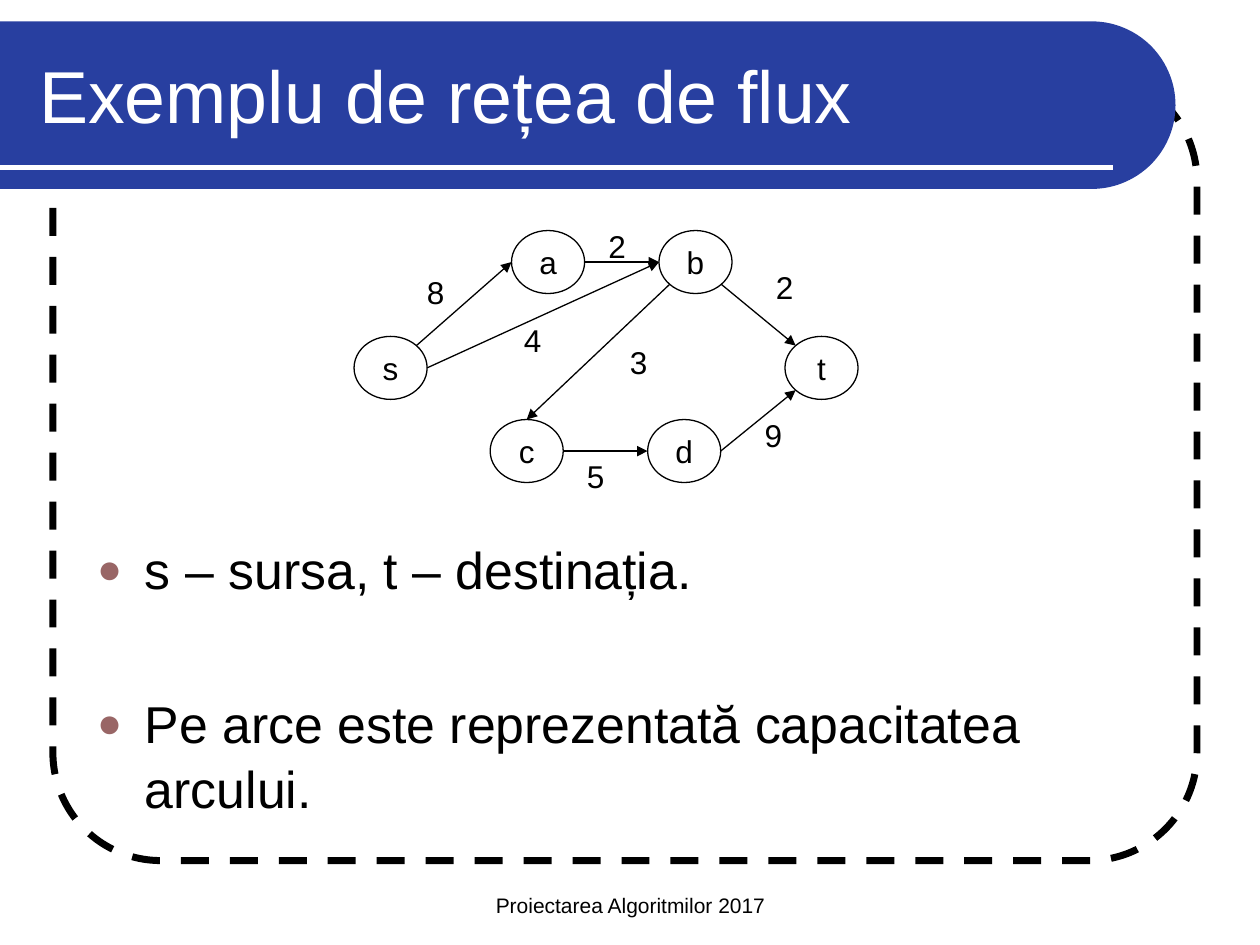
from math import cos, pi, radians, sin

from lxml import etree
from pptx import Presentation
from pptx.dml.color import RGBColor
from pptx.enum.dml import MSO_LINE
from pptx.enum.shapes import MSO_CONNECTOR, MSO_SHAPE
from pptx.enum.text import MSO_ANCHOR as Anchor, MSO_AUTO_SIZE as AutoSize, PP_ALIGN as Align
from pptx.oxml.ns import qn
from pptx.util import Inches, Pt

BLACK = RGBColor(0x00, 0x00, 0x00)
WHITE = RGBColor(0xFF, 0xFF, 0xFF)
BLUE = RGBColor(0x28, 0x3F, 0xA0)
ROSE = RGBColor(0x99, 0x66, 0x66)
FONT = "Arial"

NODE_WIDTH, NODE_HEIGHT = 0.58, 0.5
LABEL_WIDTH, LABEL_HEIGHT = 0.34, 0.4
RIGHT, UPPER_RIGHT, TOP, UPPER_LEFT = 0, 45, 90, 135
LEFT, LOWER_LEFT, LOWER_RIGHT = 180, 225, 315

NODES = {
    "s": (0, 0.84), "a": (1.25, 0), "b": (2.42, 0),
    "d": (2.33, 1.5), "t": (3.42, 0.84), "c": (1.08, 1.5),
}
EDGES = [
    ("s", UPPER_RIGHT, "a", LEFT, "8", (0.48, 0.29)),
    ("s", RIGHT, "b", LEFT, "4", (1.25, 0.67)),
    ("a", RIGHT, "b", LEFT, "2", (1.92, -0.08)),
    ("b", LOWER_LEFT, "c", TOP, "3", (2.09, 0.84)),
    ("b", LOWER_RIGHT, "t", UPPER_LEFT, "2", (3.25, 0.25)),
    ("c", RIGHT, "d", LEFT, "5", (1.75, 1.75)),
    ("d", RIGHT, "t", LOWER_LEFT, "9", (3.16, 1.42)),
]
BULLETS = ["s – sursa, t – destinația.", "Pe arce este reprezentată capacitatea arcului."]


def place(shape, left, top, width, height):
    shape.left, shape.top = Inches(left), Inches(top)
    shape.width, shape.height = Inches(width), Inches(height)


def bring_to_front(shape):
    shape.element.getparent().append(shape.element)


def format_text(para, size, color=BLACK, align=Align.LEFT):
    para.alignment = align
    for span in para.runs:
        span.font.name, span.font.size = FONT, Pt(size)
        span.font.color.rgb = color


def add_text(page, text, left, top, width, height, size, align=Align.LEFT, anchor=Anchor.TOP):
    box = page.shapes.add_textbox(Inches(left), Inches(top), Inches(width), Inches(height))
    frame = box.text_frame
    frame.text = text
    frame.word_wrap = True
    frame.vertical_anchor = anchor
    format_text(frame.paragraphs[0], size, align=align)


def add_line(page, start, end, color, weight, arrow=False):
    line = page.shapes.add_connector(
        MSO_CONNECTOR.STRAIGHT, *(Inches(value) for value in (*start, *end)))
    line.line.color.rgb = color
    line.line.width = Pt(weight)
    properties = line.element.spPr
    if arrow:
        etree.SubElement(line.line._get_or_add_ln(), qn("a:tailEnd"), type="triangle")
    etree.SubElement(properties, qn("a:effectLst"))


def add_frame(page, left, top, width, height):
    frame = page.shapes.add_shape(
        MSO_SHAPE.ROUNDED_RECTANGLE, Inches(left), Inches(top), Inches(width), Inches(height))
    frame.adjustments[0] = 0.137
    frame.shadow.inherit = False
    frame.fill.background()
    frame.line.color.rgb = BLACK
    frame.line.width = Pt(4)
    frame.line.dash_style = MSO_LINE.DASH


def add_banner(page, left, top, width, height):
    radius, steps = height / 2, 60
    center_x, center_y = left + width - radius, top + radius
    angles = [pi * step / steps - pi / 2 for step in range(steps + 1)]
    arc = [(Inches(center_x + radius * cos(angle)), Inches(center_y + radius * sin(angle)))
           for angle in angles]
    builder = page.shapes.build_freeform(Inches(left), Inches(top))
    builder.add_line_segments(arc + [(Inches(left), Inches(top + height))], close=True)
    banner = builder.convert_to_shape()
    banner.shadow.inherit = False
    banner.fill.solid()
    banner.fill.fore_color.rgb = BLUE
    banner.line.fill.background()
    rule_y = top + height - 0.17
    add_line(page, (left, rule_y), (left + width - 0.5, rule_y), WHITE, 3)


def fill_title(page, left, top, width, height):
    title = page.shapes.title
    place(title, left, top, width, height)
    frame = title.text_frame
    frame.text = "Exemplu de rețea de flux"
    frame.auto_size = AutoSize.NONE
    frame.vertical_anchor = Anchor.MIDDLE
    format_text(frame.paragraphs[0], 42, WHITE)
    bring_to_front(title)


def rim_point(node, angle, left, top):
    x, y = NODES[node]
    return (left + x + NODE_WIDTH / 2 * (1 + cos(radians(angle))),
            top + y + NODE_HEIGHT / 2 * (1 - sin(radians(angle))))


def add_node(page, name, left, top):
    node = page.shapes.add_shape(
        MSO_SHAPE.OVAL, Inches(left), Inches(top), Inches(NODE_WIDTH), Inches(NODE_HEIGHT))
    node.shadow.inherit = False
    node.fill.background()
    node.line.color.rgb = BLACK
    node.line.width = Pt(0.75)
    frame = node.text_frame
    frame.text = name
    frame.word_wrap = False
    frame.vertical_anchor = Anchor.MIDDLE
    frame.margin_left = frame.margin_right = frame.margin_top = frame.margin_bottom = 0
    format_text(frame.paragraphs[0], 18, align=Align.CENTER)


def add_network(page, left, top):
    for name, (x, y) in NODES.items():
        add_node(page, name, left + x, top + y)
    for source, exit_angle, target, entry_angle, capacity, (x, y) in EDGES:
        add_line(page, rim_point(source, exit_angle, left, top),
                 rim_point(target, entry_angle, left, top), BLACK, 0.75, arrow=True)
        add_text(page, capacity, left + x, top + y, LABEL_WIDTH, LABEL_HEIGHT, 18)


def add_bullet(para):
    properties = para._p.get_or_add_pPr()
    properties.set("marL", str(Inches(0.38)))
    properties.set("indent", str(Inches(-0.38)))
    color = etree.SubElement(properties, qn("a:buClr"))
    etree.SubElement(color, qn("a:srgbClr"), val=str(ROSE))
    etree.SubElement(properties, qn("a:buSzPct"), val="80000")
    etree.SubElement(properties, qn("a:buFont"), typeface=FONT)
    etree.SubElement(properties, qn("a:buChar"), char="●")


def fill_body(page, left, top, width, height):
    body = page.placeholders[1]
    place(body, left, top, width, height)
    frame = body.text_frame
    frame.text = "\n".join(BULLETS)
    frame.auto_size = AutoSize.NONE
    frame.vertical_anchor = Anchor.TOP
    frame.margin_top = Inches(0.08)
    for index, para in enumerate(frame.paragraphs):
        add_bullet(para)
        para.line_spacing = 1.04
        para.space_before = Pt(51 if index else 0)
        format_text(para, 29.6)
    bring_to_front(body)


def main():
    deck = Presentation()
    deck.slide_width, deck.slide_height = Inches(10), Inches(7.5)
    page = deck.slides.add_slide(deck.slide_layouts[1])
    add_frame(page, 0.42, 0.58, 9.08, 6.25)
    add_banner(page, 0, 0.17, 9.33, 1.33)
    add_text(page, "Proiectarea Algoritmilor 2017", 3.42, 6.83, 3.17, 0.5, 12,
             Align.CENTER, Anchor.BOTTOM)
    fill_title(page, 0.21, 0.25, 8.77, 1)
    add_network(page, 2.81, 1.83)
    fill_body(page, 0.67, 4.17, 8.67, 2.42)
    deck.save("out.pptx")


if __name__ == "__main__":
    main()
